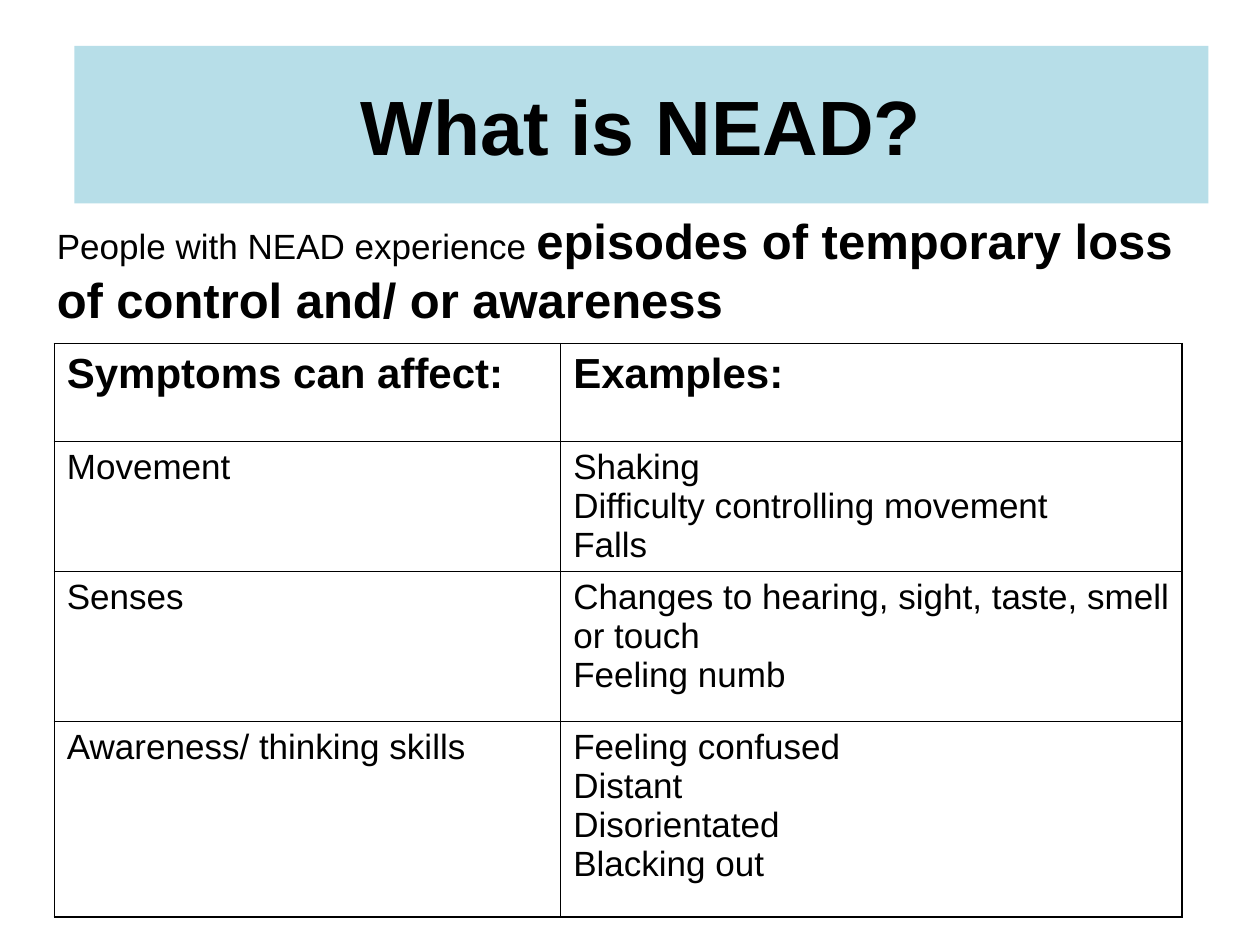
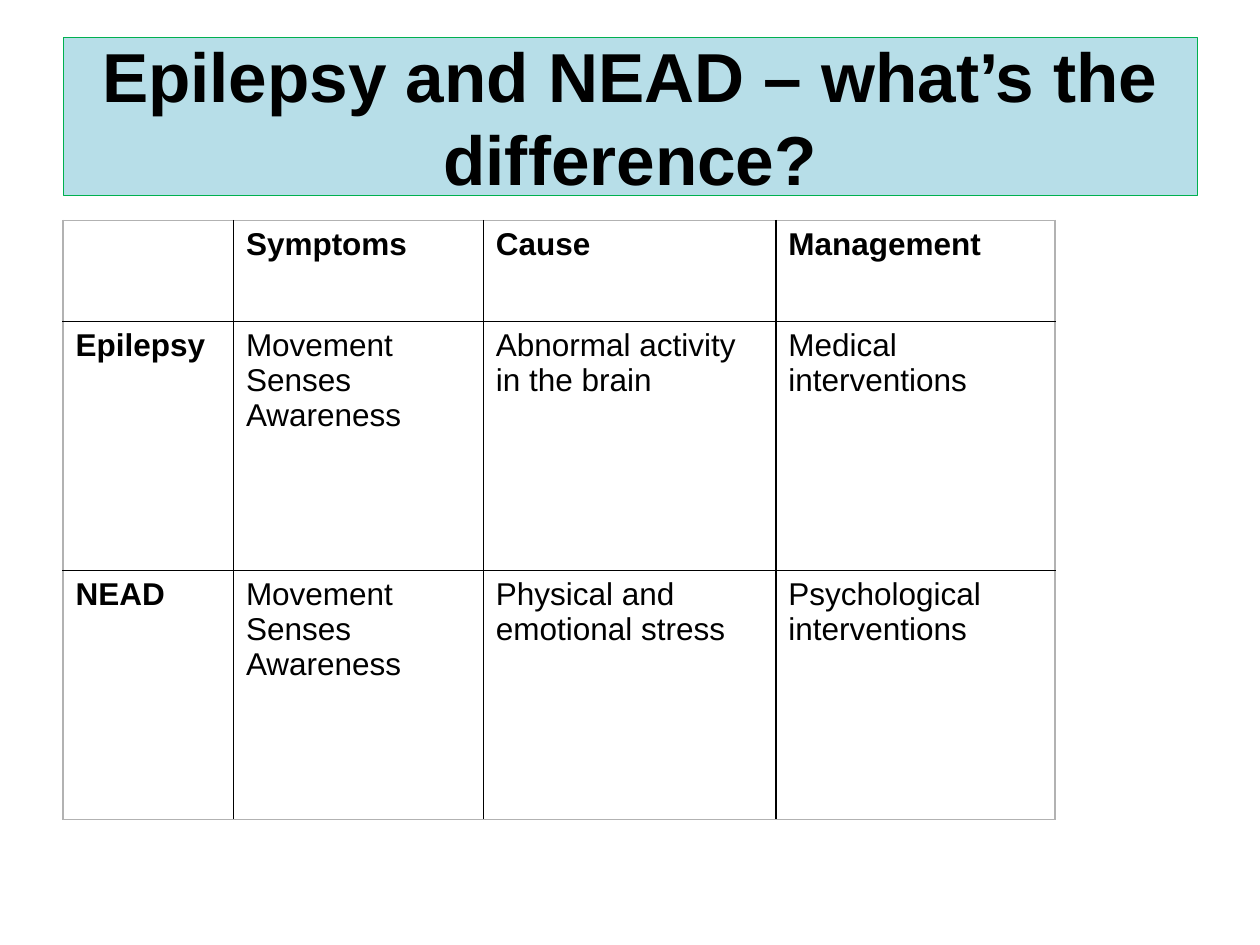
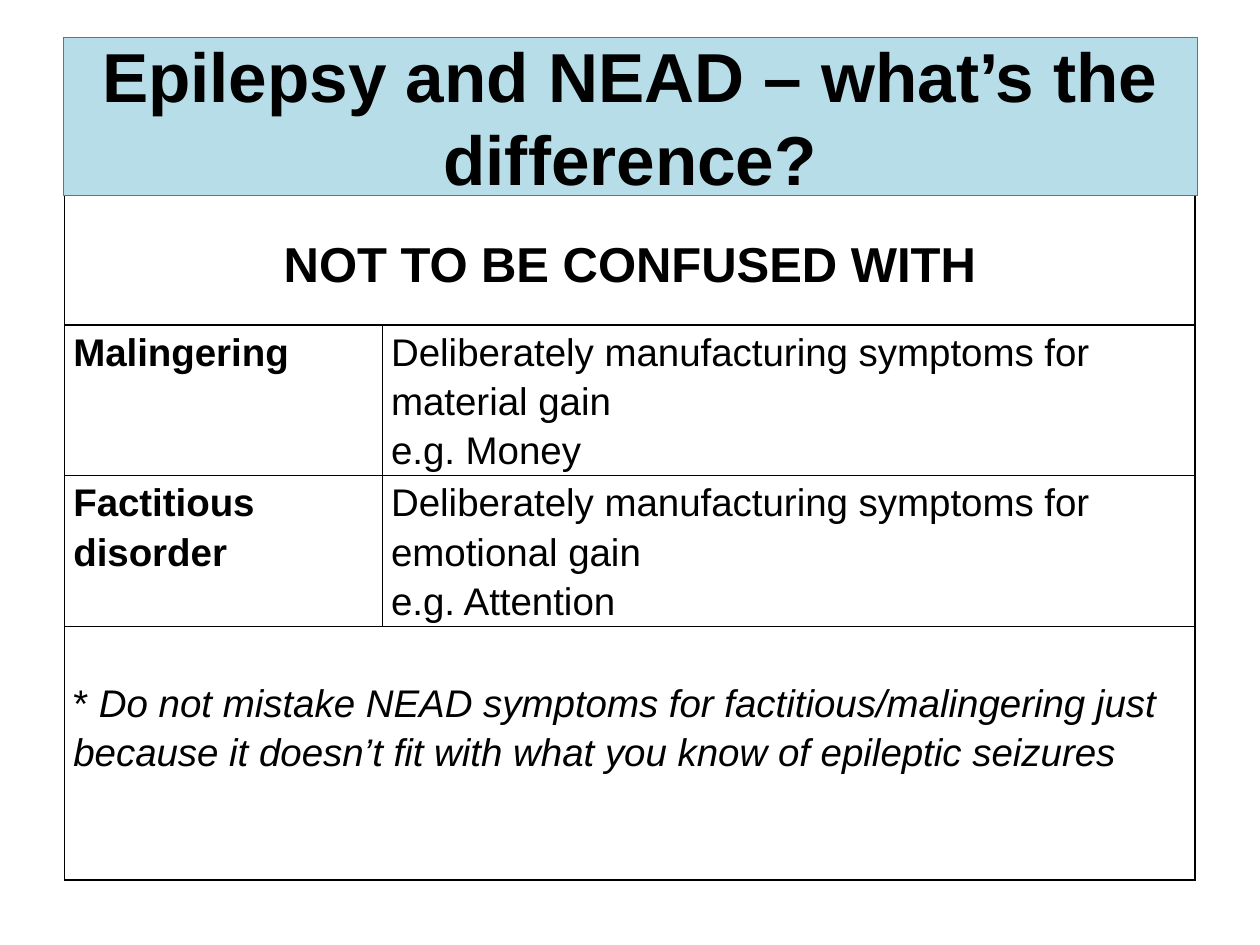
import dataclasses

import pptx
import pptx.dml.color
import pptx.enum.shapes
import pptx.enum.text
import pptx.oxml
import pptx.oxml.ns
import pptx.util

Pt = pptx.util.Pt
Align = pptx.enum.text.PP_ALIGN


def color(value):
    return pptx.dml.color.RGBColor.from_string(value)


@dataclasses.dataclass(frozen=True)
class Theme:
    font: str = "Arial"
    ink: str = "000000"
    band: str = "B7DEE8"
    band_line: str = "00B050"
    pale_edge: str = "B2B2B2"
    title: float = 44
    long_title: float = 39.6
    lead: float = 28
    heading: float = 24
    body: float = 20
    note: float = 22
    small: float = 18
    band_width: float = 648
    band_height: float = 90
    border: float = 1
    line_pitch: float = 1.115  # table line height per point of type
    open_spacing: float = 1.15


class Deck:
    """Holds the theme and the slide being built."""

    def __init__(self, theme):
        self.theme = theme
        self.presentation = pptx.Presentation()
        self.presentation.slide_width = Pt(720)
        self.presentation.slide_height = Pt(540)
        self.slide = None

    def new_slide(self):
        blank = self.presentation.slide_layouts[6]
        self.slide = self.presentation.slides.add_slide(blank)

    def style(self, font, size, bold=False, italic=False):
        font.name = self.theme.font
        font.size = Pt(size)
        font.bold = bold
        font.italic = italic
        font.color.rgb = color(self.theme.ink)

    def title(self, text, left, top, size, outlined=False):
        theme = self.theme
        shape = self.slide.shapes.add_shape(
            pptx.enum.shapes.MSO_SHAPE.RECTANGLE,
            Pt(left), Pt(top), Pt(theme.band_width), Pt(theme.band_height))
        shape.shadow.inherit = False
        shape.fill.solid()
        shape.fill.fore_color.rgb = color(theme.band)
        if outlined:
            shape.line.color.rgb = color(theme.band_line)
            shape.line.width = Pt(0.75)
        else:
            shape.line.fill.background()
        frame = shape.text_frame
        frame.word_wrap = True
        frame.vertical_anchor = pptx.enum.text.MSO_ANCHOR.MIDDLE
        paragraph = frame.paragraphs[0]
        paragraph.text = text
        paragraph.alignment = Align.CENTER
        self.style(paragraph.font, size, bold=True)

    def text(self, runs, left, top, width, height):
        """Add one paragraph; each run is (text, size, bold)."""
        box = self.slide.shapes.add_textbox(Pt(left), Pt(top), Pt(width), Pt(height))
        frame = box.text_frame
        frame.word_wrap = True
        paragraph = frame.paragraphs[0]
        for words, size, bold in runs:
            run = paragraph.add_run()
            run.text = words
            self.style(run.font, size, bold)

    def table(self, rows, left, top, widths, heights, size, is_bold,
              edge=None, spacing=1):
        """Add a table; each cell is text with one paragraph a line."""
        table = self.slide.shapes.add_table(
            len(heights), len(widths), Pt(left), Pt(top),
            Pt(sum(widths)), Pt(sum(heights))).table
        table.first_row = table.horz_banding = False
        for column, width in zip(table.columns, widths):
            column.width = Pt(width)
        for row, height in zip(table.rows, heights):
            row.height = Pt(height)
        edge = edge or self.theme.ink
        for i in range(len(heights)):
            for j in range(len(widths)):
                cell = table.cell(i, j)
                cell.fill.background()
                outer = {"L": j == 0, "R": j == len(widths) - 1,
                         "T": i == 0, "B": i == len(heights) - 1}
                self.borders(cell, {side: edge if is_outer else self.theme.ink
                                    for side, is_outer in outer.items()})
        for i, row in enumerate(rows):
            for j, words in enumerate(row):
                self.fill_cell(table.cell(i, j), words, size, is_bold(i, j), spacing)
        return table

    def fill_cell(self, cell, words, size, bold=False, spacing=1):
        cell.text = words
        for paragraph in cell.text_frame.paragraphs:
            self.style(paragraph.font, size, bold)
            self.space_lines(paragraph, size, spacing)

    def space_lines(self, paragraph, size, spacing=1):
        paragraph.line_spacing = Pt(round(size * self.theme.line_pitch * spacing, 1))

    def borders(self, cell, colors):
        properties = cell._tc.get_or_add_tcPr()
        for index, (side, value) in enumerate(colors.items()):
            line = pptx.oxml.parse_xml(
                f'<a:ln{side} {pptx.oxml.ns.nsdecls("a")} w="{Pt(self.theme.border)}">'
                f'<a:solidFill><a:srgbClr val="{value}"/></a:solidFill></a:ln{side}>')
            properties.insert(index, line)


def definition_slide(deck):
    theme = deck.theme
    deck.new_slide()
    deck.title("What is NEAD?", 42.5, 26.2, theme.title)
    deck.text([("People with NEAD experience ", theme.body, False),
               ("episodes of temporary loss of control and/ or awareness",
                theme.lead, True)], 25.4, 116.6, 669.6, 408)
    # Symptom table with larger headings
    headings = ["Symptoms can affect:", "Examples:"]
    rows = [
        headings,
        ["Movement", "Shaking\nDifficulty controlling movement\nFalls"],
        ["Senses", "Changes to hearing, sight, taste, smell or touch\nFeeling numb"],
        ["Awareness/ thinking skills",
         "Feeling confused\nDistant\nDisorientated\nBlacking out"],
    ]
    table = deck.table(rows, 31, 196.4, [289.4, 355], [56, 74.2, 85.7, 111.6],
                       theme.body, lambda i, j: False)
    for cell in table.iter_cells():
        cell.margin_right = Pt(5)
    for j, heading in enumerate(headings):
        deck.fill_cell(table.cell(0, j), heading, theme.heading, bold=True)


def difference_title(deck):
    deck.title("Epilepsy and NEAD – what’s the difference?", 36.2, 21.6,
               deck.theme.long_title, outlined=True)


def comparison_slide(deck):
    theme = deck.theme
    deck.new_slide()
    symptoms = "Movement\nSenses\nAwareness"
    rows = [
        ["", "Symptoms", "Cause", "Management"],
        ["Epilepsy", symptoms, "Abnormal activity in the brain",
         "Medical interventions"],
        ["NEAD", symptoms, "Physical and emotional stress",
         "Psychological interventions"],
    ]
    deck.table(rows, 36, 126, [97.4, 142.8, 167.2, 159.4], [57.6, 142.4, 142.4],
               theme.small, lambda i, j: i == 0 or j == 0, theme.pale_edge)
    difference_title(deck)


def confusion_slide(deck):
    theme = deck.theme
    deck.new_slide()
    gain = "Deliberately manufacturing symptoms for {} gain\ne.g. {}"
    rows = [
        [],
        ["Malingering", gain.format("material", "Money")],
        ["Factitious disorder", gain.format("emotional", "Attention")],
    ]
    table = deck.table(rows, 36.9, 100.1, [181.6, 464.4], [85.6, 86.2, 86.2, 144.8],
                       theme.note, lambda i, j: j == 0, spacing=theme.open_spacing)
    for cell in table.iter_cells():
        cell.margin_left = cell.margin_right = Pt(5)
        cell.margin_top = cell.margin_bottom = 0
    # Full-width heading
    heading = table.cell(0, 0)
    heading.merge(table.cell(0, 1))
    deck.fill_cell(heading, "NOT TO BE CONFUSED WITH", theme.lead, True,
                   theme.open_spacing)
    heading.text_frame.paragraphs[0].alignment = Align.CENTER
    heading.margin_top = Pt(31.5)
    # Full-width warning
    warning = table.cell(3, 0)
    warning.merge(table.cell(3, 1))
    warning.margin_top = Pt(28.5)
    paragraph = warning.text_frame.paragraphs[0]
    deck.space_lines(paragraph, theme.note, theme.open_spacing)
    for words, italic in [
            ("* ", False),
            ("Do not mistake NEAD symptoms for factitious/malingering just because "
             "it doesn’t fit with what you know of epileptic seizures", True)]:
        run = paragraph.add_run()
        run.text = words
        deck.style(run.font, theme.note, italic=italic)
    difference_title(deck)


def main():
    deck = Deck(Theme())
    definition_slide(deck)
    comparison_slide(deck)
    confusion_slide(deck)
    deck.presentation.save("out.pptx")


if __name__ == "__main__":
    main()
